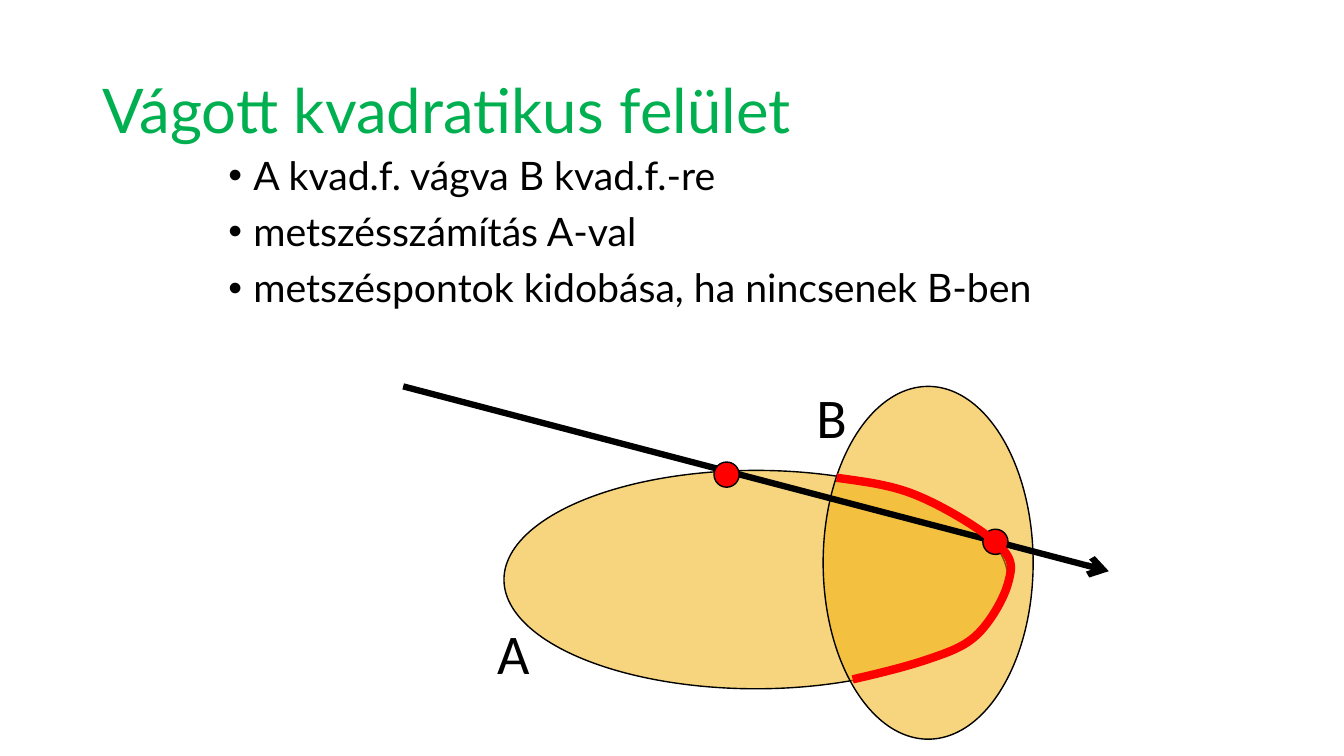
from pptx import Presentation
from pptx.dml.color import RGBColor
from pptx.enum.shapes import MSO_CONNECTOR, MSO_SHAPE
from pptx.enum.text import MSO_ANCHOR, MSO_AUTO_SIZE
from pptx.oxml.ns import qn
from pptx.util import Pt
from lxml.etree import SubElement

COLORS = {"title": "00B050", "ink": "000000", "quadric": "F0AD00", "hit": "FF0000"}


def add_text(slide, frame, lines, size, font, color):
    """Add a text box with one paragraph per line and return its text frame."""
    box = slide.shapes.add_textbox(*map(Pt, frame))
    text = box.text_frame
    text.word_wrap = True
    text.text = "\n".join(lines)
    for para in text.paragraphs:
        para.font.size = Pt(size)
        para.font.name = font
        para.font.color.rgb = RGBColor.from_string(COLORS[color])
    return text


def add_ellipse(slide, frame, color, opacity=100):
    """Add a thinly outlined ellipse with an opacity in percent."""
    ellipse = slide.shapes.add_shape(MSO_SHAPE.OVAL, *map(Pt, frame))
    ellipse.shadow.inherit = False
    ellipse.fill.solid()
    ellipse.fill.fore_color.rgb = RGBColor.from_string(COLORS[color])
    ellipse.line.color.rgb = RGBColor.from_string(COLORS["ink"])
    ellipse.line.width = Pt(1)
    if opacity < 100:
        fill_color = ellipse.fill._xPr.find(qn("a:solidFill"))[0]
        SubElement(fill_color, qn("a:alpha"), val=str(opacity * 1000))


deck = Presentation()
deck.slide_width, deck.slide_height = Pt(960), Pt(540)
page = deck.slides.add_slide(deck.slide_layouts[6])

# Title and bullets
title = add_text(page, (66, 28.8, 828, 104.4), ["Vágott kvadratikus felület"],
                 44, "Lato", "title")
title.vertical_anchor = MSO_ANCHOR.MIDDLE
title.paragraphs[0].line_spacing = 0.9

bullets = add_text(page, (156, 108, 654, 138), [
    "A kvad.f. vágva B kvad.f.-re",
    "metszésszámítás A-val",
    "metszéspontok kidobása, ha nincsenek B-ben",
], 28, "Lato", "ink")
for para in bullets.paragraphs:
    para.line_spacing = 0.9
    para.space_before = Pt(10)
    properties = para._p.get_or_add_pPr()
    properties.set("marL", str(Pt(18)))
    properties.set("indent", str(-Pt(18)))
    bullet_font = SubElement(properties, qn("a:buFont"), typeface="Arial")
    bullet_font.addnext(properties.makeelement(qn("a:buChar"), {"char": "•"}))
    # The schema wants bullets before the default run properties
    properties.append(properties.find(qn("a:defRPr")))

# Quadrics A and B
for frame in [(360, 336, 360, 156), (588, 276, 150, 252)]:
    add_ellipse(page, frame, "quadric", opacity=50)

# Ray
ray = page.shapes.add_connector(MSO_CONNECTOR.STRAIGHT, Pt(288), Pt(276), Pt(792), Pt(408))
ray.line.color.rgb = RGBColor.from_string(COLORS["ink"])
ray.line.width = Pt(4.5)
SubElement(ray.line._get_or_add_ln(), qn("a:tailEnd"), type="arrow")
SubElement(ray._element.spPr, qn("a:effectLst"))

for name, frame in [("A", (348, 438, 38, 55.7)), ("B", (576, 270, 36.7, 55.7))]:
    label = add_text(page, frame, [name], 40, "Calibri", "ink")
    label.word_wrap = False
    label.auto_size = MSO_AUTO_SIZE.SHAPE_TO_FIT_TEXT

# Intersection points
for left, top in [(510, 330), (702, 378)]:
    add_ellipse(page, (left, top, 18, 18), "hit")

# Kept part of A's outline: Bezier segments as control, control, end
start = (597.6, 341.3)
segments = [
    [(617.8, 344.2), (637.9, 346.3), (657.4, 355)],
    [(676.1, 362.9), (703.4, 379.4), (714.2, 390.2)],
    [(724.3, 400.3), (722.9, 406.1), (720, 416.9)],
    [(717.1, 427.7), (707, 445), (697.7, 453.6)],
    [(687.6, 463), (675.4, 466.6), (661, 471.6)],
    [(645.8, 476.6), (627.8, 481), (609.1, 485.3)],
]
STEPS = 16
curve_points = []
corner = start
for first, second, end in segments:
    for step in range(1, STEPS + 1):
        t = step / STEPS
        weights = ((1 - t) ** 3, 3 * t * (1 - t) ** 2, 3 * t ** 2 * (1 - t), t ** 3)
        controls = (corner, first, second, end)
        curve_points.append(tuple(
            Pt(sum(weight * point[axis] for weight, point in zip(weights, controls)))
            for axis in (0, 1)))
    corner = end
builder = page.shapes.build_freeform(Pt(start[0]), Pt(start[1]))
builder.add_line_segments(curve_points, close=False)
kept_edge = builder.convert_to_shape()
kept_edge.shadow.inherit = False
kept_edge.fill.background()
kept_edge.line.color.rgb = RGBColor.from_string(COLORS["hit"])
kept_edge.line.width = Pt(6)

deck.save("out.pptx")
